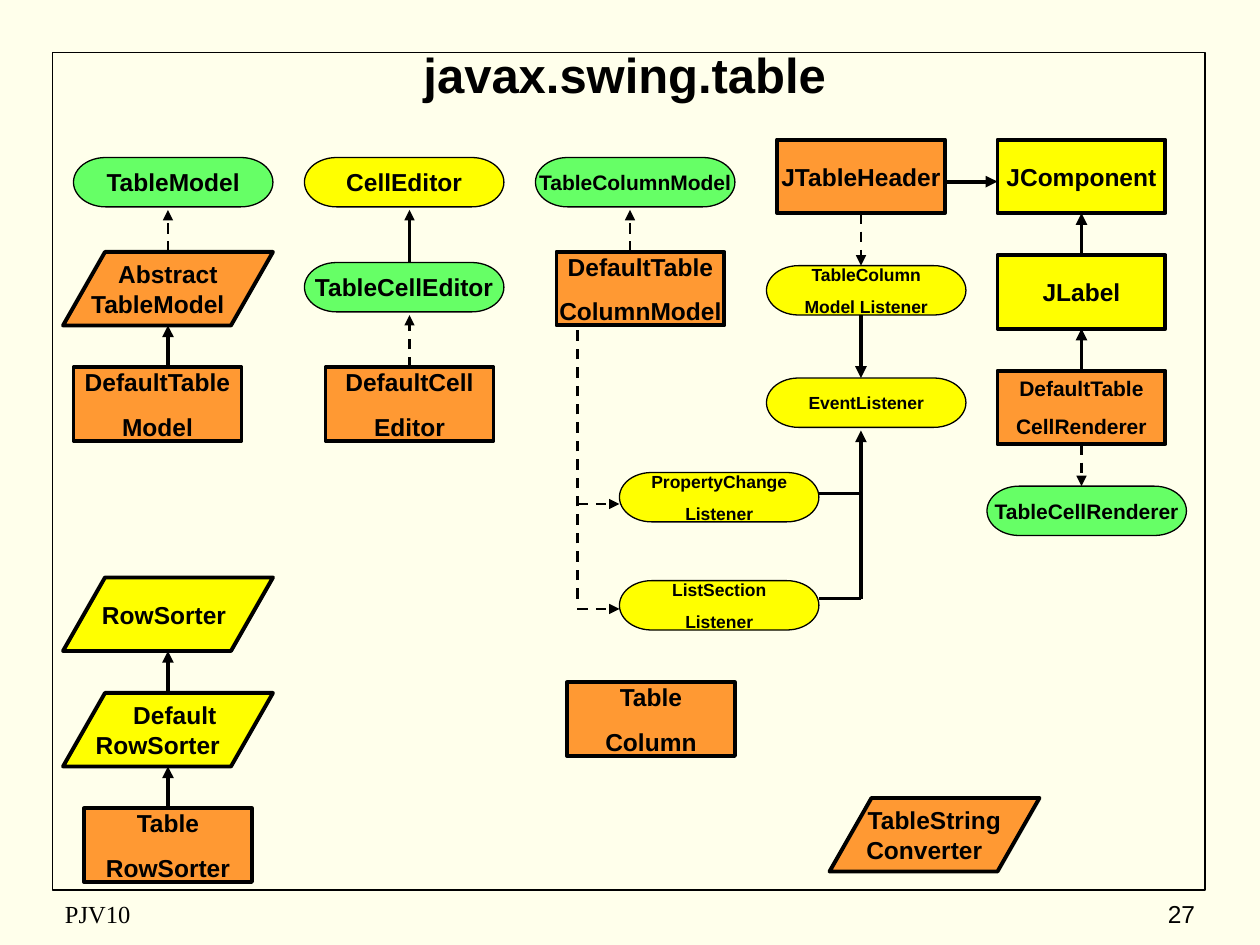
from pptx import Presentation
from pptx.dml.color import RGBColor
from pptx.enum.dml import MSO_LINE
from pptx.enum.shapes import MSO_CONNECTOR, MSO_SHAPE
from pptx.enum.text import MSO_ANCHOR, PP_ALIGN
from pptx.oxml.ns import qn
from pptx.util import Inches, Pt
from lxml.etree import SubElement

COLORS = {"paper": "FFFFEB", "ink": "000000", "orange": "FF9933",
          "yellow": "FFFF00", "green": "66FF66"}
COLS, ROWS = 120, 90
TOP, LEFT, BOTTOM, RIGHT = range(4)


def rgb(name):
    return RGBColor.from_string(COLORS[name])


def is_point(end):
    return isinstance(end[0], (int, float))


class Diagram:
    font = "Arial"
    slant_inset = 0.26

    def __init__(self, prs):
        self.s = prs.slides.add_slide(prs.slide_layouts[6])
        self.col = prs.slide_width / COLS
        self.row = prs.slide_height / ROWS
        self.s.background.fill.solid()
        self.s.background.fill.fore_color.rgb = rgb("paper")

    def place(self, x, y):
        return round(x * self.col), round(y * self.row)

    def fill_text(self, tf, text, size, bold=True, font=None,
                  align=PP_ALIGN.CENTER, gap=0):
        tf.vertical_anchor = MSO_ANCHOR.MIDDLE
        for i, line in enumerate(text.split("\n")):
            p = tf.add_paragraph() if i else tf.paragraphs[0]
            p.text = line
            p.alignment = align
            if i:
                p.space_before = Pt(gap)
            p.font.name = font or self.font
            p.font.size = Pt(size)
            p.font.bold = bold
            p.font.color.rgb = rgb("ink")

    def label(self, x, y, w, h, text, size, **style):
        sp = self.s.shapes.add_textbox(*self.place(x, y), *self.place(w, h))
        sp.text_frame.word_wrap = True
        self.fill_text(sp.text_frame, text, size, **style)

    def shape(self, kind, x, y, w, h, color, weight):
        sp = self.s.shapes.add_shape(kind, *self.place(x, y), *self.place(w, h))
        sp.shadow.inherit = False
        if color:
            sp.fill.solid()
            sp.fill.fore_color.rgb = rgb(color)
        else:
            sp.fill.background()
        sp.line.color.rgb = rgb("ink")
        sp.line.width = Pt(weight)
        return sp

    def node(self, kind, x, y, w, h, color, weight, text, size, gap):
        sp = self.shape(kind, x, y, w, h, color, weight)
        sp.text_frame.word_wrap = False
        self.fill_text(sp.text_frame, text, size, gap=gap)
        return sp

    def concrete(self, x, y, text, color="orange", size=14):
        return self.node(MSO_SHAPE.RECTANGLE, x, y, 16, 7, color, 2.25,
                         text, size, size * 0.63)

    def interface(self, x, y, text, color="yellow", size=10):
        return self.node(MSO_SHAPE.FLOWCHART_TERMINATOR, x, y, 19, 4.7, color,
                         0.75, text, size, size * 0.63)

    def abstract(self, x, y, text, color="orange", lead=0.16):
        sp = self.node(MSO_SHAPE.FLOWCHART_DATA, x, y, 20, 7, color, 2.25,
                       text, 14, 0)
        sp.text_frame.margin_right = Inches(self.slant_inset)
        p = sp.text_frame.paragraphs[0]
        p._p.get_or_add_pPr().set("marL", str(Inches(lead)))

    def line(self, start, end, dashed=False, weight=2.25, arrow=True):
        begin, finish = (self.place(*e) if is_point(e) else (0, 0)
                         for e in (start, end))
        cx = self.s.shapes.add_connector(MSO_CONNECTOR.STRAIGHT,
                                         *begin, *finish)
        if not is_point(start):
            cx.begin_connect(*start)
        if not is_point(end):
            cx.end_connect(*end)
        cx.line.color.rgb = rgb("ink")
        cx.line.width = Pt(1.5 if dashed else weight)
        if dashed:
            cx.line.dash_style = MSO_LINE.DASH
        sp_pr = cx._element.spPr
        if arrow:
            SubElement(sp_pr.find(qn("a:ln")), qn("a:tailEnd"), type="triangle")
        SubElement(sp_pr, qn("a:effectLst"))


def main():
    prs = Presentation()
    prs.slide_width, prs.slide_height = Inches(10), Inches(7.5)
    d = Diagram(prs)

    d.shape(MSO_SHAPE.RECTANGLE, 5, 5, 109.8, 79.8, None, 1)
    d.label(6, 3, 107, 8, "javax.swing.table", 28)

    d.interface(7, 15, "TableModel", "green", 14)
    d.abstract(6, 24, "Abstract\nTableModel")
    d.concrete(7, 35, "DefaultTable\nModel")

    d.abstract(6, 55, "RowSorter", "yellow", lead=0.1)
    d.abstract(6, 66, "Default\nRowSorter", "yellow", lead=0.27)
    row_sorter = d.concrete(8, 77, "Table\nRowSorter")

    d.interface(29, 15, "CellEditor", size=14)
    d.interface(29, 25, "TableCellEditor", "green", 14)
    cell_editor = d.concrete(31, 35, "DefaultCell\nEditor")

    d.interface(51, 15, "TableColumnModel", "green", 12)
    d.concrete(53, 24, "DefaultTable\nColumnModel")
    d.interface(59, 45, "PropertyChange\nListener")
    d.interface(59, 55.3, "ListSection\nListener")
    d.concrete(54, 65, "Table\nColumn")

    header = d.concrete(74, 13.3, "JTableHeader")
    d.interface(73, 25.3, "TableColumn\nModel Listener")
    d.interface(73, 36, "EventListener")
    d.abstract(79, 76, "TableString\nConverter")

    component = d.concrete(95, 13.3, "JComponent", "yellow")
    jlabel = d.concrete(95, 24.3, "JLabel", "yellow")
    renderer = d.concrete(95, 35.3, "DefaultTable\nCellRenderer", size=12)
    d.interface(94, 46.3, "TableCellRenderer", "green", 12)

    d.line((16, 24), (16, 20), dashed=True)
    d.line((16, 35), (16, 31))
    d.line((16, 66), (16, 62))
    d.line((row_sorter, TOP), (16, 73))
    d.line((cell_editor, TOP), (39, 30), dashed=True)
    d.line((39, 25), (39, 20), weight=1.5)
    d.line((60, 24), (60, 20), dashed=True)
    d.line((header, BOTTOM), (82, 25.3), dashed=True)
    d.line((90, 17.3), (95, 17.3))
    d.line((jlabel, TOP), (component, BOTTOM))
    d.line((renderer, TOP), (jlabel, BOTTOM))
    d.line((renderer, BOTTOM), (103, 46.3), dashed=True)
    d.line((82, 30), (82, 36))
    d.line((82, 57), (82, 41))
    d.line((55, 57), (55, 31), dashed=True, arrow=False)
    for solid_y, dashed_y in ((47, 48), (57, 58)):
        d.line((78, solid_y), (82, solid_y), arrow=False)
        d.line((55, dashed_y), (59, dashed_y), dashed=True)

    d.label(5, 85, 38, 4, "PJV10", 14, bold=False, font="Times New Roman",
            align=PP_ALIGN.LEFT)
    d.label(90, 85, 25, 4, "27", 14, bold=False, align=PP_ALIGN.RIGHT)
    prs.save("out.pptx")


if __name__ == "__main__":
    main()
